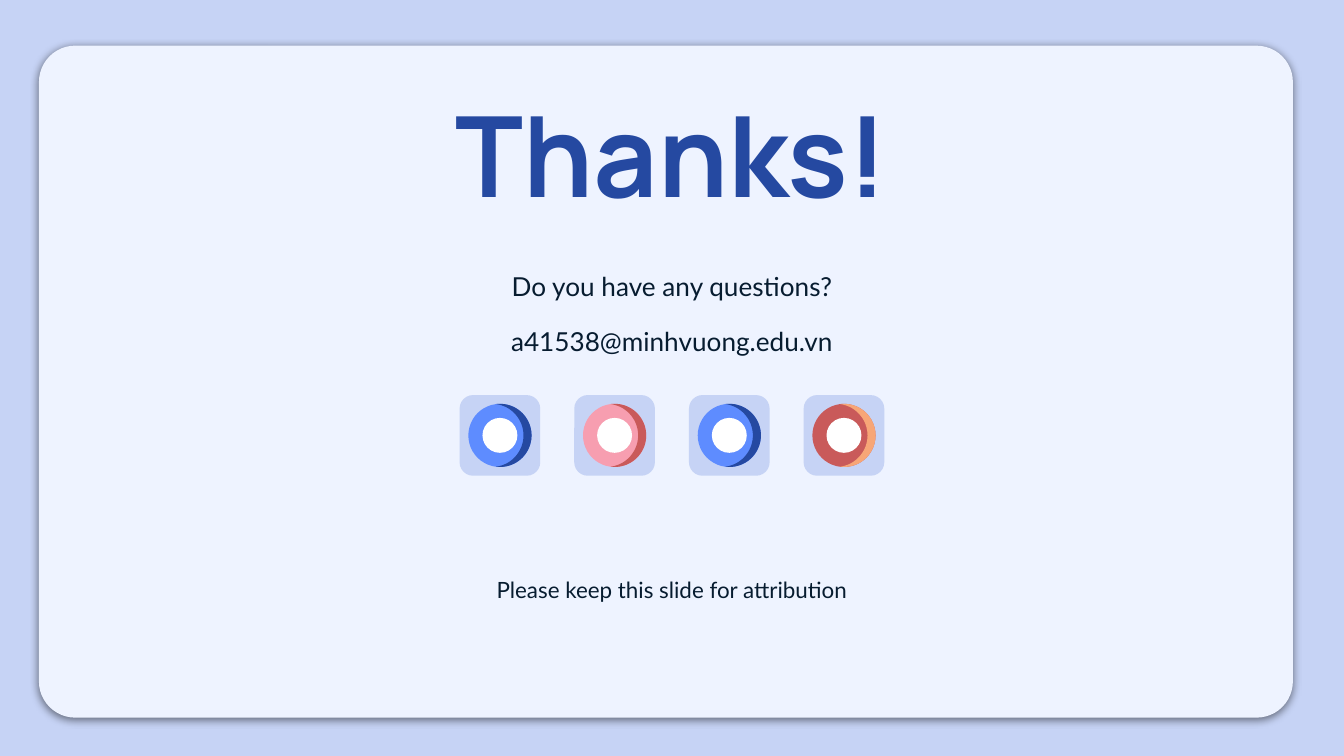
from math import acos, cos, pi, sin

from lxml.etree import SubElement
from pptx import Presentation
from pptx.dml.color import RGBColor
from pptx.enum.shapes import MSO_SHAPE as Shape
from pptx.enum.text import MSO_ANCHOR as Anchor, MSO_AUTO_SIZE as AutoSize, PP_ALIGN as Align
from pptx.oxml.ns import qn
from pptx.util import Inches, Pt

COLORS = {
    "back": "C6D3F5", "card": "EEF3FF", "text": "071C30", "white": "FFFFFF",
    "navy": "2549A1", "blue": "5E8CFF", "pink": "F79EB0", "red": "C95A5A",
    "orange": "F7A677",
}
BADGES = [("blue", "navy"), ("pink", "red"), ("blue", "navy"), ("red", "orange")]
SLIDE_WIDTH = 10
SLIDE_HEIGHT = SLIDE_WIDTH * 9 / 16
TILE, TILE_TOP, ROW_LEFT, ROW_WIDTH = 0.6, 2.94, 3.42, 3.16
DISC, MARK, RIM = 0.47, 0.26, 0.06


def rgb(name):
    return RGBColor.from_string(COLORS[name])


def paint(shape, color):
    shape.shadow.inherit = False
    shape.fill.solid()
    shape.fill.fore_color.rgb = rgb(color)
    shape.line.fill.background()


def add_solid(page, kind, left, top, width, height, color, corner=None):
    shape = page.shapes.add_shape(
        kind, Inches(left), Inches(top), Inches(width), Inches(height))
    paint(shape, color)
    if corner is not None:
        shape.adjustments[0] = corner
    return shape


def add_card(page):
    card = add_solid(page, Shape.ROUNDED_RECTANGLE, 0.29, 0.34, 9.33, 5, "card", 0.054)
    effects = card._element.spPr.find(qn("a:effectLst"))
    shadow = SubElement(effects, qn("a:outerShdw"), blurRad=str(Pt(4.5)),
                        dist=str(Pt(1.5)), dir="5400000", algn="bl", rotWithShape="0")
    color = SubElement(shadow, qn("a:srgbClr"), val="000000")
    SubElement(color, qn("a:alpha"), val="50000")
    page.shapes.title._element.addprevious(card._element)


def write_lines(box, place, lines, size, font, color, bold=False,
                anchor=Anchor.TOP, spacing=1.0, first_gap=0, gap=0):
    """Place a text box or placeholder and fill it with centred paragraphs."""
    box.left, box.top, box.width, box.height = map(Inches, place)
    frame = box.text_frame
    frame.word_wrap = True
    frame.auto_size = AutoSize.NONE
    frame.vertical_anchor = anchor
    frame.margin_left = frame.margin_right = Inches(0.1)
    frame.margin_top = frame.margin_bottom = Inches(0.1)
    for index, line in enumerate(lines):
        para = frame.add_paragraph() if index else frame.paragraphs[0]
        para.alignment = Align.CENTER
        para.line_spacing = spacing
        para.space_before = Pt(gap if index else first_gap)
        span = para.add_run()
        span.text = line
        span.font.name = font
        span.font.size = Pt(size)
        span.font.bold = bold
        span.font.color.rgb = rgb(color)


def add_crescent(page, center_x, center_y, color):
    """Draw the part of a disc left uncovered by the same disc moved left by RIM."""
    radius, steps = DISC / 2, 48
    reach = pi - acos(RIM / 2 / radius)
    inner_reach = pi - reach

    def arc(middle, start, end):
        angles = (start + (end - start) * step / steps for step in range(steps + 1))
        return [(Inches(middle + radius * cos(a)), Inches(center_y + radius * sin(a)))
                for a in angles]

    points = arc(center_x, -reach, reach) + arc(center_x - RIM, inner_reach, -inner_reach)
    builder = page.shapes.build_freeform(*points[0], scale=1.0)
    builder.add_line_segments(points[1:], close=True)
    paint(builder.convert_to_shape(), color)


def add_badge(page, left, disc_color, rim_color):
    add_solid(page, Shape.ROUNDED_RECTANGLE, left, TILE_TOP, TILE, TILE, "back", 0.167)
    center_x, center_y = left + TILE / 2, TILE_TOP + TILE / 2
    add_solid(page, Shape.OVAL, center_x - DISC / 2, center_y - DISC / 2,
              DISC, DISC, disc_color)
    add_crescent(page, center_x, center_y, rim_color)
    add_solid(page, Shape.OVAL, center_x - MARK / 2, center_y - MARK / 2,
              MARK, MARK, "white")


def add_textbox(page):
    return page.shapes.add_textbox(0, 0, Inches(1), Inches(1))


def main():
    deck = Presentation()
    deck.slide_width, deck.slide_height = Inches(SLIDE_WIDTH), Inches(SLIDE_HEIGHT)
    page = deck.slides.add_slide(deck.slide_layouts[5])
    page.background.fill.solid()
    page.background.fill.fore_color.rgb = rgb("back")

    add_card(page)
    write_lines(page.shapes.title, (2.65, 0.59, 4.7, 1.15), ["Thanks!"],
                60, "Manrope", "navy", bold=True, anchor=Anchor.BOTTOM)
    write_lines(add_textbox(page), (3.2, 1.88, 3.6, 0.91),
                ["Do you have any questions?", "a41538@minhvuong.edu.vn"],
                14, "Lato", "text", spacing=1.15, gap=10)
    write_lines(add_textbox(page), (2.8, 4.19, 4.4, 0.48),
                ["Please keep this slide for attribution"],
                12, "Lato", "text", first_gap=3)

    pitch = (ROW_WIDTH - TILE) / (len(BADGES) - 1)
    for index, (disc_color, rim_color) in enumerate(BADGES):
        add_badge(page, ROW_LEFT + index * pitch, disc_color, rim_color)

    deck.save("out.pptx")


if __name__ == "__main__":
    main()
